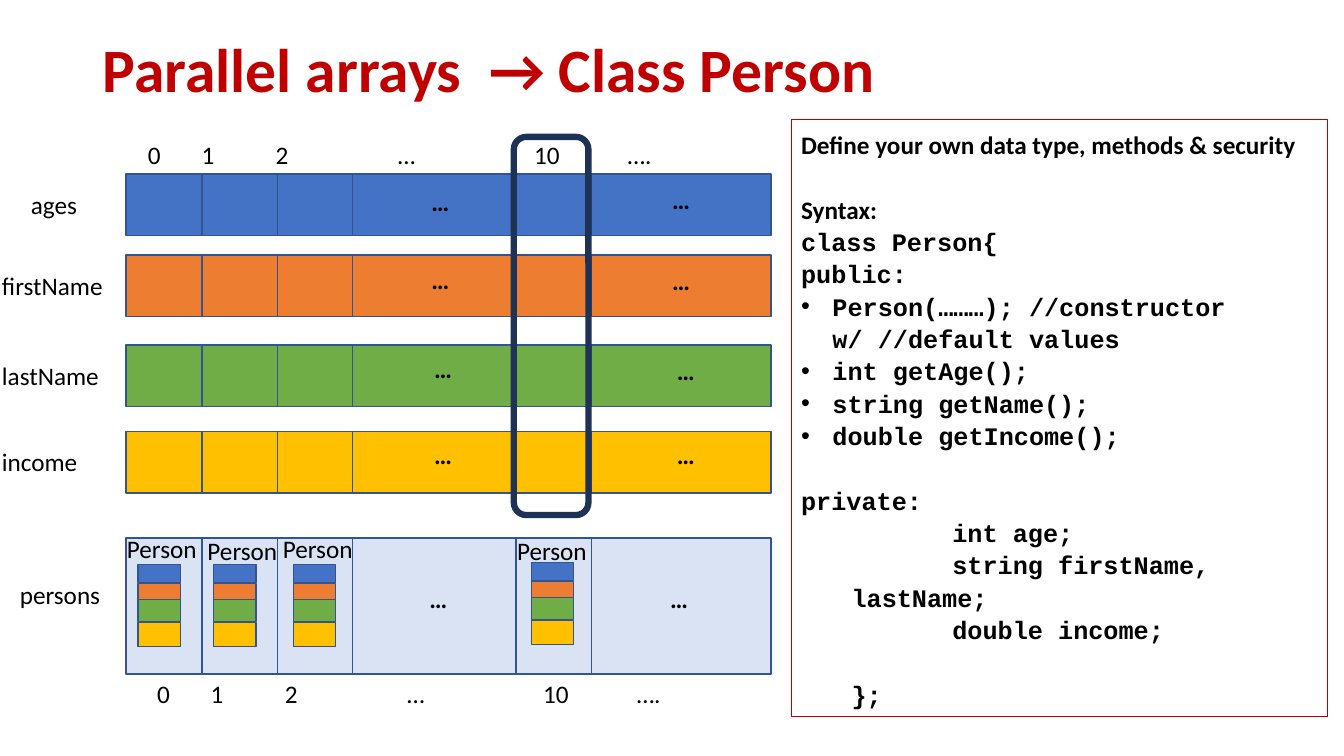
import pptx
import pptx.util
import pptx.dml.color
import pptx.enum.shapes
import pptx.enum.text
import lxml.etree
from pptx.util import Cm, Pt

SHAPES = pptx.enum.shapes.MSO_SHAPE
ALIGN = pptx.enum.text.PP_ALIGN
ANCHOR = pptx.enum.text.MSO_ANCHOR
BODY_FONT, CODE_FONT = "Calibri", "Courier New"
BLACK, RED, EDGE = "000000", "C00000", "325491"

CELL_LEFT, CELL_WIDTH = 3.18, 1.91
REST_LEFT, REST_WIDTH = 8.89, 10.54
TENTH_LEFT = 13.0

# name, colour, top, height, name left, name width, name drop, dots as (left, drop)
ARRAYS = [
    ("ages", "4472C4", 4.39, 1.55, 0.53, 1.68, 0.26, [(10.62, 0.18), (16.69, 0.13)]),
    ("firstName", "ED7D31", 6.43, 1.55, -0.2, 3.07, 0.26, [(10.62, 0.1), (16.69, 0.13)]),
    ("lastName", "70AD47", 8.69, 1.55, -0.2, 2.97, 0.26, [(10.69, 0.1), (16.81, 0.13)]),
    ("income", "FFC000", 10.87, 1.55, -0.2, 2.44, 0.26, [(10.69, 0.08), (16.81, 0.08)]),
    ("persons", "DAE3F3", 13.56, 3.43, 0.25, 2.57, 0.92, [(10.57, 1.02), (16.64, 1.02)]),
]
# label left, label top, fields left, fields top
PERSONS = [(2.95, 13.31, 3.48, 14.22), (4.98, 13.36, 5.38, 14.22),
           (6.88, 13.31, 7.39, 14.22), (12.78, 13.36, 13.39, 14.17)]
FIELDS = [(0, 0.46), (0.48, 0.46), (0.89, 0.56), (1.47, 0.61)]
INDEXES = "0\t1\t2\t…\t10\t…."
INDEX_STOPS = [1.35, 3.22, 6.3, 9.73, 12.09]

# text, kind of line, whether a gap precedes it
SYNTAX = [
    ("Define your own data type, methods & security", "heading", False),
    ("Syntax:", "heading", True),
    ("class Person{", "code", False),
    ("public:", "code", False),
    ("Person(………); //constructor w/ //default values", "bullet", False),
    ("int getAge();", "bullet", False),
    ("string getName();", "bullet", False),
    ("double getIncome();", "bullet", False),
    ("private:", "code", True),
    ("int age;", "member", False),
    ("string firstName, lastName;", "member", False),
    ("double income;", "member", False),
    ("};", "closing", True),
]
LINE_PITCH = Pt(23.1)
# left margin and first-line indent in cm
INDENTS = {"bullet": (0.79, -0.79), "member": (1.27, 2.54), "closing": (1.27, 0)}


def rgb(colour):
    return pptx.dml.color.RGBColor.from_string(colour)


def format_runs(paragraph, size=18, colour=BLACK, bold=False, font=BODY_FONT):
    for run in paragraph.runs:
        run.font.name = font
        run.font.size = Pt(size)
        run.font.bold = bold
        run.font.color.rgb = rgb(colour)


def add_child(parent, tag, **attributes):
    child = lxml.etree.SubElement(parent, pptx.oxml.ns.qn(tag))
    for key, value in attributes.items():
        child.set(key, str(value))
    return child


def add_box(slide, left, top, width, height, fill=None, edge=EDGE, weight=1,
            outline=SHAPES.RECTANGLE):
    box = slide.shapes.add_shape(outline, Cm(left), Cm(top), Cm(width), Cm(height))
    box.shadow.inherit = False
    if fill:
        box.fill.solid()
        box.fill.fore_color.rgb = rgb(fill)
    else:
        box.fill.background()
    box.line.color.rgb = rgb(edge)
    box.line.width = Pt(weight)
    return box


def add_label(slide, text, left, top, width, bold=False, wrap=False):
    label = slide.shapes.add_textbox(Cm(left), Cm(top), Cm(width), Cm(1.02))
    label.text_frame.word_wrap = wrap
    label.text_frame.text = text
    paragraph = label.text_frame.paragraphs[0]
    format_runs(paragraph, bold=bold)
    return paragraph


def add_indexes(slide, left, top):
    indexes = add_label(slide, INDEXES, left, top, 13.69, wrap=True)
    stops = add_child(indexes._p.get_or_add_pPr(), "a:tabLst")
    for stop in INDEX_STOPS:
        add_child(stops, "a:tab", pos=int(Cm(stop)), algn="l")


def add_array(slide, name, colour, top, height, name_left, name_width, name_drop, dots):
    for column in range(3):
        add_box(slide, CELL_LEFT + column * CELL_WIDTH, top, CELL_WIDTH, height, colour)
    add_box(slide, REST_LEFT, top, REST_WIDTH, height, colour)
    add_box(slide, TENTH_LEFT, top, CELL_WIDTH, height, colour)
    add_label(slide, name, name_left, top + name_drop, name_width)
    for left, drop in dots:
        add_label(slide, "…", left, top + drop, 0.97, bold=True)


def add_person(slide, label_left, label_top, fields_left, fields_top):
    for (offset, height), array in zip(FIELDS, ARRAYS):
        add_box(slide, fields_left, fields_top + offset, 1.07, height, array[1])
    add_label(slide, "Person", label_left, label_top, 2.31)


def add_syntax_panel(slide):
    panel = add_box(slide, 19.94, 3.02, 13.51, 15.04, edge=RED, weight=0.75)
    frame = panel.text_frame
    frame.word_wrap = True
    frame.vertical_anchor = ANCHOR.MIDDLE
    frame.text = "\n".join(text for text, kind, gap in SYNTAX)
    for paragraph, (text, kind, gap) in zip(frame.paragraphs, SYNTAX):
        paragraph.alignment = ALIGN.LEFT
        paragraph.line_spacing = LINE_PITCH
        if gap:
            paragraph.space_before = LINE_PITCH
        format_runs(paragraph, bold=True,
                    font=BODY_FONT if kind == "heading" else CODE_FONT)
        margin, indent = INDENTS.get(kind, (0, 0))
        properties = paragraph._p.get_or_add_pPr()
        properties.set("marL", str(int(Cm(margin))))
        properties.set("indent", str(int(Cm(indent))))
        if kind == "bullet":
            add_child(properties, "a:buFont", typeface="Arial")
            add_child(properties, "a:buChar", char="•")


def set_title(slide, text):
    title = slide.shapes.title
    title.left, title.top, title.width, title.height = Cm(2.34), Cm(0.64), Cm(29.21), Cm(2.39)
    title.text_frame.text = text
    title.text_frame.vertical_anchor = ANCHOR.MIDDLE
    paragraph = title.text_frame.paragraphs[0]
    paragraph.alignment = ALIGN.LEFT
    paragraph.line_spacing = 0.9
    format_runs(paragraph, size=44, colour=RED, bold=True)


def main():
    deck = pptx.Presentation()
    deck.slide_width, deck.slide_height = Cm(33.87), Cm(19.05)
    slide = deck.slides.add_slide(deck.slide_layouts[5])
    set_title(slide, "Parallel arrays  → Class Person")

    # Parallel arrays and the array of objects
    for array in ARRAYS:
        add_array(slide, *array)
    for person in PERSONS:
        add_person(slide, *person)
    add_indexes(slide, 3.48, 3.38)
    add_indexes(slide, 3.71, 16.97)

    # Frame around the values of one person
    add_box(slide, 12.95, 3.45, 1.88, 9.53, edge="1E3256", weight=4.5,
            outline=SHAPES.ROUNDED_RECTANGLE)

    # Class definition
    add_syntax_panel(slide)
    deck.save("out.pptx")


if __name__ == "__main__":
    main()
